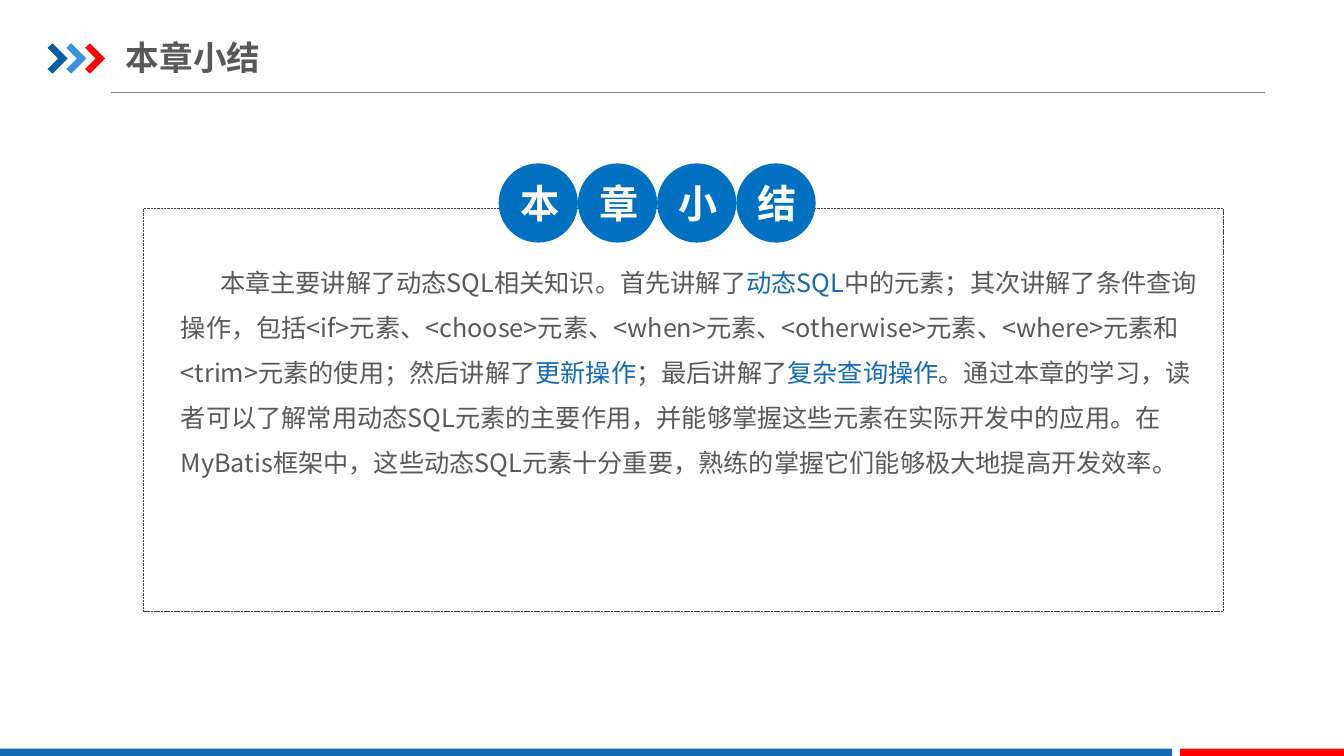
from lxml.etree import SubElement
from pptx import Presentation
from pptx.dml.color import RGBColor
from pptx.enum.dml import MSO_LINE
from pptx.enum.shapes import MSO_CONNECTOR, MSO_SHAPE
from pptx.enum.text import MSO_ANCHOR, MSO_AUTO_SIZE, PP_ALIGN
from pptx.oxml.ns import qn
from pptx.util import Pt

FONT = "Noto Sans CJK SC"
GRAY, BLUE, RED, WHITE = "595959", "1369B2", "FF0000", "FFFFFF"
CIRCLE_BLUE = "0070C0"
CHEVRON = [(0, 3.2), (3.5, 0), (14.4, 10.8), (3.5, 21.6), (0, 18.4), (7.6, 10.8)]
SUMMARY = [
    ("本章主要讲解了动态SQL相关知识。首先讲解了", GRAY),
    ("动态SQL", BLUE),
    ("中的元素；其次讲解了条件查询操作，包括<if>元素、<choose>元素、<when>元素、"
     "<otherwise>元素、<where>元素和<trim>元素的使用；然后讲解了", GRAY),
    ("更新操作", BLUE),
    ("；最后讲解了", GRAY),
    ("复杂查询操作", BLUE),
    ("。通过本章的学习，读者可以了解常用动态SQL元素的主要作用，并能够掌握这些元素在"
     "实际开发中的应用。在MyBatis框架中，这些动态SQL元素十分重要，熟练的掌握它们"
     "能够极大地提高开发效率。", GRAY),
]


def color(value):
    return RGBColor.from_string(value)


def set_attributes(target, values):
    for name, value in values.items():
        setattr(target, name, value)


class SlideBuilder:
    def __init__(self, slide):
        self.slide = slide
        self.shapes = slide.shapes

    def fill_text(self, shape, runs, size, bold=False, margins=(7.2, 3.6),
                  anchor=MSO_ANCHOR.MIDDLE, **paragraph_format):
        """Fill the shape's first paragraph with (text, colour) runs."""
        horizontal, vertical = map(Pt, margins)
        set_attributes(shape.text_frame, {
            "word_wrap": True, "vertical_anchor": anchor,
            "margin_left": horizontal, "margin_right": horizontal,
            "margin_top": vertical, "margin_bottom": vertical,
        })
        paragraph = shape.text_frame.paragraphs[0]
        set_attributes(paragraph, paragraph_format)
        for text, run_color in runs:
            run = paragraph.add_run()
            run.text = text
            set_attributes(run.font, {"name": FONT, "size": Pt(size), "bold": bold})
            run.font.color.rgb = color(run_color)
            SubElement(run.font._element, qn("a:ea"), typeface=FONT)
        return paragraph

    def title(self, text, left, top, width, height):
        title = self.shapes.title
        set_attributes(title, {"left": Pt(left), "top": Pt(top),
                               "width": Pt(width), "height": Pt(height)})
        self.fill_text(title, [(text, GRAY)], 24, bold=True, margins=(0, 5),
                       alignment=PP_ALIGN.LEFT)
        title.text_frame.auto_size = MSO_AUTO_SIZE.NONE

    def filled(self, kind, left, top, width, height, fill):
        shape = self.shapes.add_shape(kind, Pt(left), Pt(top), Pt(width), Pt(height))
        self.paint(shape, fill)
        return shape

    def paint(self, shape, fill):
        shape.shadow.inherit = False
        shape.fill.solid()
        shape.fill.fore_color.rgb = color(fill)
        shape.line.fill.background()

    def frame(self, left, top, width, height):
        shape = self.shapes.add_shape(MSO_SHAPE.ROUNDED_RECTANGLE, Pt(left), Pt(top),
                                      Pt(width), Pt(height))
        shape.adjustments[0] = 0
        shape.shadow.inherit = False
        shape.fill.background()
        shape.line.color.rgb = color("404040")
        set_attributes(shape.line, {"width": Pt(0.25), "dash_style": MSO_LINE.SQUARE_DOT})

    def rule(self, left, right, top):
        line = self.shapes.add_connector(MSO_CONNECTOR.STRAIGHT, Pt(left), Pt(top),
                                         Pt(right), Pt(top))
        line.line.color.rgb = color("808080")
        line.line.width = Pt(0.5)
        SubElement(line._element.spPr, qn("a:effectLst"))

    def chevron(self, left, top, fill):
        points = [(Pt(left + x), Pt(top + y)) for x, y in CHEVRON]
        outline = self.shapes.build_freeform(*points[0])
        outline.add_line_segments(points[1:], close=True)
        self.paint(outline.convert_to_shape(), fill)

    def body(self, runs, left, top, width, height):
        box = self.shapes.add_textbox(Pt(left), Pt(top), Pt(width), Pt(height))
        paragraph = self.fill_text(box, runs, 18, margins=(9.6, 5),
                                   anchor=MSO_ANCHOR.TOP, line_spacing=Pt(32.3))
        paragraph._p.get_or_add_pPr().set("indent", str(Pt(28)))
        box.text_frame.auto_size = MSO_AUTO_SIZE.SHAPE_TO_FIT_TEXT


def main():
    presentation = Presentation()
    set_attributes(presentation, {"slide_width": Pt(960), "slide_height": Pt(540)})
    builder = SlideBuilder(presentation.slides.add_slide(presentation.slide_layouts[5]))

    builder.rule(79.2, 903.6, 66)
    for index, fill in enumerate(["005DA2", "3992DB", RED]):
        builder.chevron(34 + index * 13.4, 31, fill)
    for left, width, fill in [(0, 837.2, BLUE), (843, 117, RED)]:
        builder.filled(MSO_SHAPE.RECTANGLE, left, 534.8, width, 5.2, fill)
    builder.title("本章小结", 90, 21, 307, 40)

    builder.frame(102.6, 149, 771.4, 287.6)
    diameter = 56.6
    for index, character in enumerate("本章小结"):
        circle = builder.filled(MSO_SHAPE.OVAL, 356.2 + index * diameter, 116.7,
                                diameter, diameter, CIRCLE_BLUE)
        builder.fill_text(circle, [(character, WHITE)], 28, bold=True,
                          alignment=PP_ALIGN.CENTER)
    builder.body(SUMMARY, 119.6, 175, 748, 204)
    presentation.save("out.pptx")


if __name__ == "__main__":
    main()
